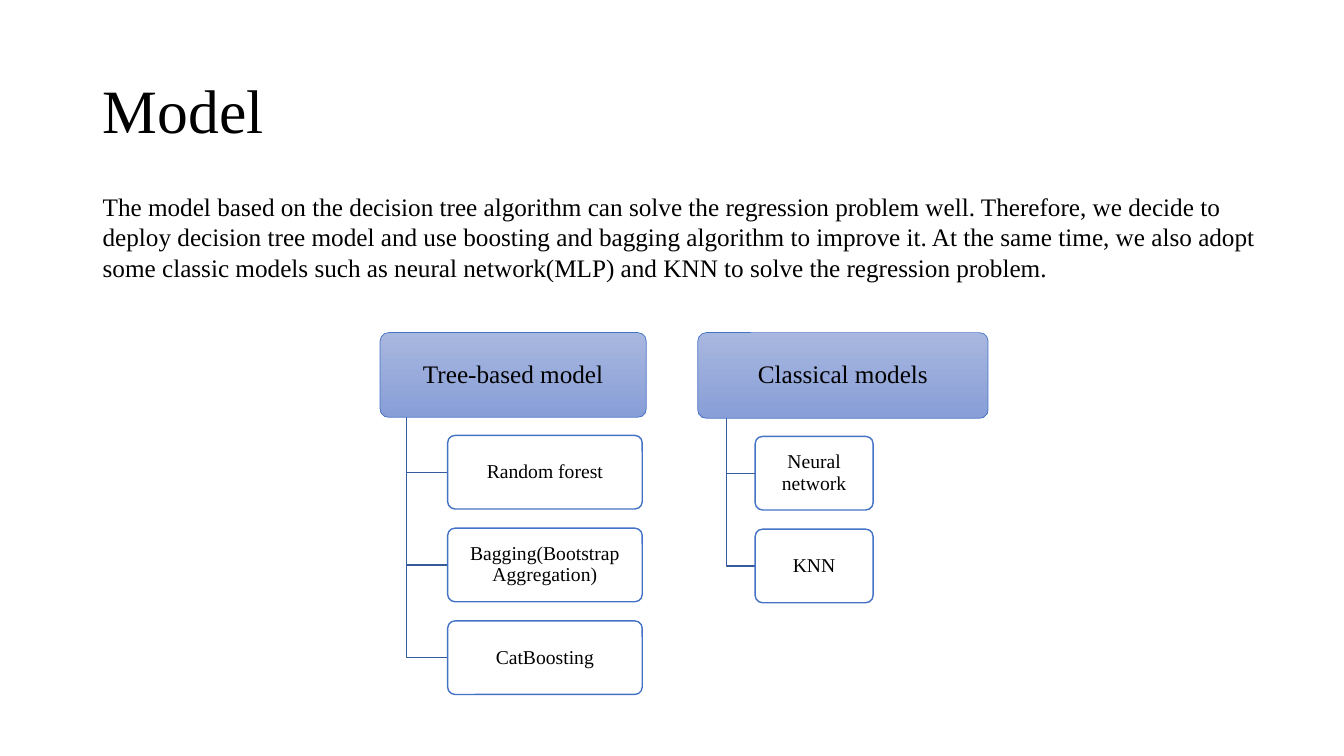
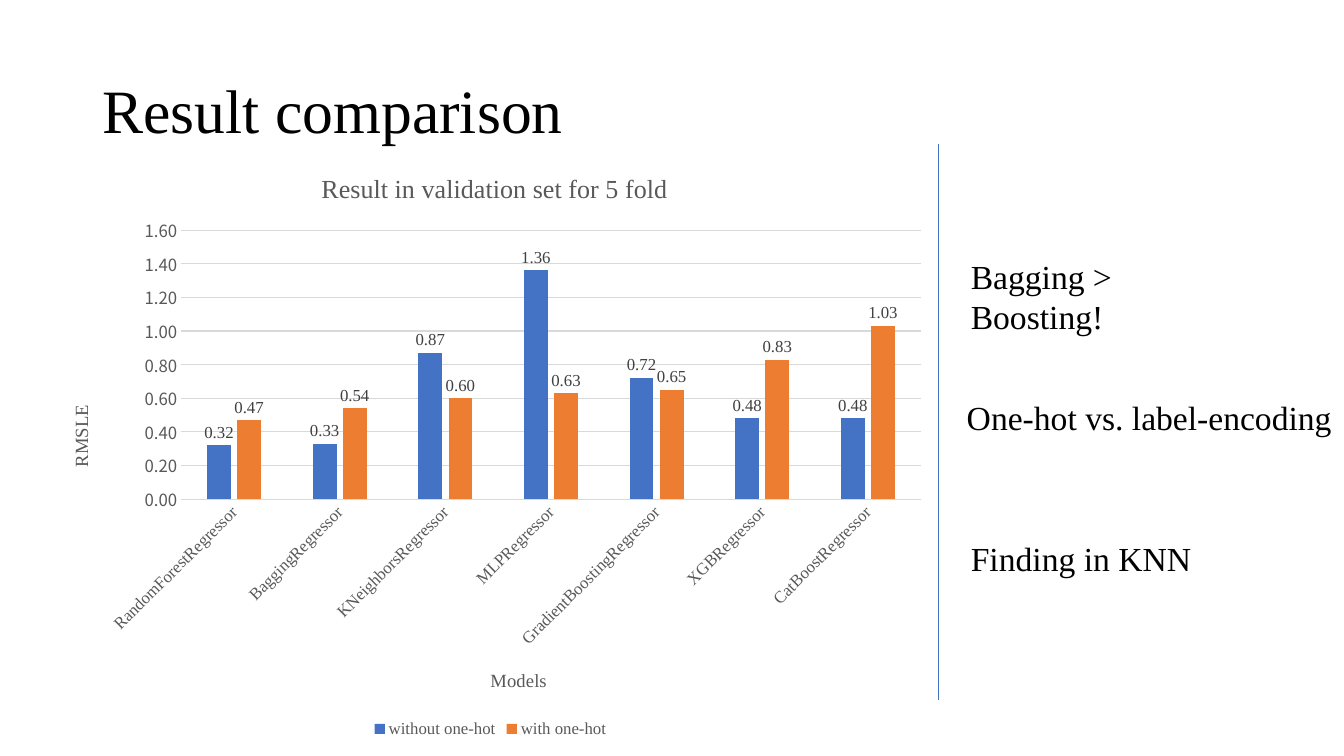
import pptx
import pptx.chart.data
import pptx.dml.color
import pptx.enum.chart
import pptx.enum.shapes
import pptx.enum.text
import pptx.oxml
import pptx.oxml.ns
import pptx.util
from lxml import etree

Inches = pptx.util.Inches
Pt = pptx.util.Pt
qn = pptx.oxml.ns.qn
colour = pptx.dml.color.RGBColor.from_string
MIDDLE = pptx.enum.text.MSO_ANCHOR.MIDDLE
TOP = pptx.enum.text.MSO_ANCHOR.TOP
CENTER = pptx.enum.text.PP_ALIGN.CENTER
LEFT = pptx.enum.text.PP_ALIGN.LEFT
ROUNDED = pptx.enum.shapes.MSO_SHAPE.ROUNDED_RECTANGLE

SERIF = "Times New Roman"
SANS = "Noto Sans CJK SC"
BLACK, WHITE, GRAY, GRID = "000000", "FFFFFF", "595959", "D9D9D9"
BLUE, DARK_BLUE, ORANGE = "4472C4", "365B9D", "ED7D31"


def write(box, text, size, align=LEFT, anchor=TOP, spacing=1.0):
    frame = box.text_frame
    frame.word_wrap = True
    frame.vertical_anchor = anchor
    para = frame.paragraphs[0]
    para.alignment = align
    para.line_spacing = spacing
    span = para.add_run()
    span.text = text
    span.font.size = Pt(size)
    span.font.name = SERIF
    span.font.color.rgb = colour(BLACK)


def place(element, position, **fractions):
    """Give a chart part a fixed place, in fractions of the chart."""
    for old in element.findall(qn("c:layout")):
        element.remove(old)
    layout = etree.Element(qn("c:layout"))
    manual = etree.SubElement(layout, qn("c:manualLayout"))
    if "w" in fractions:
        etree.SubElement(manual, qn("c:layoutTarget")).set("val", "inner")
    for side in ("x", "y"):
        etree.SubElement(manual, qn(f"c:{side}Mode")).set("val", "edge")
    for key, value in fractions.items():
        etree.SubElement(manual, qn(f"c:{key}")).set("val", str(value))
    element.insert(position, layout)


deck = pptx.Presentation()
deck.slide_width = Inches(13.33)
deck.slide_height = Inches(7.5)
blank = deck.slide_layouts[6]

# Titles
pages = []
for title in ("Model", "Result comparison"):
    page = deck.slides.add_slide(blank)
    box = page.shapes.add_textbox(Inches(0.92), Inches(0.4), Inches(11.5), Inches(1.45))
    write(box, title, 44, anchor=MIDDLE, spacing=0.9)
    pages.append(page)
model_page, result_page = pages

# Body text
texts = [
    (model_page, 0.92, 1.85, 11.87, 1.01, 18,
     "The model based on the decision tree algorithm can solve the regression problem well. "
     "Therefore, we decide to deploy decision tree model and use boosting and bagging "
     "algorithm to improve it. At the same time, we also adopt some classic models such as "
     "neural network(MLP) and KNN to solve the regression problem."),
    (result_page, 9.53, 2.49, 2.89, 0.5, 24, "Bagging > Boosting!"),
    (result_page, 9.49, 3.89, 3.84, 0.5, 24, "One-hot vs. label-encoding"),
    (result_page, 9.53, 5.29, 2.75, 0.5, 24, "Finding in KNN"),
]
for page, left, top, width, height, size, text in texts:
    box = page.shapes.add_textbox(Inches(left), Inches(top), Inches(width), Inches(height))
    write(box, text, size)

# Model families: a head with its members hanging below
HEAD_TOP, MEMBER_HEIGHT, MEMBER_STEP = 3.3, 0.73, 0.92
families = [
    ("Tree-based model", 3.77, 2.64, 0.84, 4.44, 1.93,
     ["Random forest", "Bagging(Bootstrap Aggregation)", "CatBoosting"]),
    ("Classical models", 6.92, 2.88, 0.85, 7.49, 1.17, ["Neural network", "KNN"]),
]
for head, left, width, height, member_left, member_width, members in families:
    bottom = HEAD_TOP + height
    trunk = left + width / 10
    boxes = [(head, left, HEAD_TOP, width, height, 18, 0.5)]
    for index, member in enumerate(members):
        top = bottom + 0.18 + index * MEMBER_STEP
        boxes.append((member, member_left, top, member_width, MEMBER_HEIGHT, 14, 1))
        middle = top + MEMBER_HEIGHT / 2
        builder = model_page.shapes.build_freeform(Inches(trunk), Inches(bottom))
        builder.add_line_segments([(Inches(trunk), Inches(middle)),
                                   (Inches(member_left), Inches(middle))], close=False)
        branch = builder.convert_to_shape()
        branch.shadow.inherit = False
        branch.fill.background()
        branch.line.color.rgb = colour(DARK_BLUE)
        branch.line.width = Pt(1)
    for text, x, y, w, h, size, line_width in boxes:
        shape = model_page.shapes.add_shape(ROUNDED, Inches(x), Inches(y), Inches(w), Inches(h))
        shape.adjustments[0] = 0.1
        shape.shadow.inherit = False
        shape.line.color.rgb = colour(BLUE)
        shape.line.width = Pt(line_width)
        if text == head:
            shape.fill.gradient()
            shape.fill.gradient_angle = 270
            for stop, shade in zip(shape.fill.gradient_stops, ("A8B7DF", "889ED7")):
                stop.color.rgb = colour(shade)
        else:
            shape.fill.solid()
            shape.fill.fore_color.rgb = colour(WHITE)
        frame = shape.text_frame
        frame.margin_left = frame.margin_right = Inches(0.05)
        frame.margin_top = frame.margin_bottom = Inches(0.04)
        write(shape, text, size, CENTER, MIDDLE, 0.9)

# Chart of validation results
data = pptx.chart.data.CategoryChartData(number_format="0.00")
data.categories = ["RandomForestRegressor", "BaggingRegressor", "KNeighborsRegressor",
                   "MLPRegressor", "GradientBoostingRegressor", "XGBRegressor",
                   "CatBoostRegressor"]
data.add_series("without one-hot", [0.32, 0.33, 0.87, 1.36, 0.72, 0.48, 0.48])
data.add_series("with one-hot", [0.47, 0.54, 0.6, 0.63, 0.65, 0.83, 1.03])
chart = result_page.shapes.add_chart(
    pptx.enum.chart.XL_CHART_TYPE.COLUMN_CLUSTERED,
    Inches(0.42), Inches(1.43), Inches(8.89), Inches(5.93), data).chart
chart.font.size = Pt(10)
chart.font.name = SANS
plot = chart.plots[0]
plot.gap_width = 219
plot.overlap = -27
plot.vary_by_categories = False
place(chart._chartSpace.chart.plotArea, 0, x=0.155, y=0.144, w=0.825, h=0.45)

# Axes and legend
models, errors = chart.category_axis, chart.value_axis
for axis in (models, errors):
    axis.major_tick_mark = pptx.enum.chart.XL_TICK_MARK.NONE
models.format.line.color.rgb = colour(GRID)
models.format.line.width = Pt(0.75)
errors.format.line.fill.background()
errors.minimum_scale, errors.maximum_scale, errors.major_unit = 0, 1.6, 0.2
errors.tick_labels.number_format = "0.00"
errors.tick_labels.number_format_is_linked = False
errors.major_gridlines.format.line.color.rgb = colour(GRID)
errors.major_gridlines.format.line.width = Pt(0.75)
chart.has_legend = True
chart.legend.position = pptx.enum.chart.XL_LEGEND_POSITION.BOTTOM
chart.legend.include_in_layout = False

# Series and their labels
fonts = [(models.tick_labels.font, 12, GRAY, SERIF),
         (errors.tick_labels.font, 12, GRAY, SANS),
         (chart.legend.font, 12, GRAY, SERIF)]
for series, shade in zip(plot.series, (BLUE, ORANGE)):
    series.format.fill.solid()
    series.format.fill.fore_color.rgb = colour(shade)
    labels = series.data_labels
    labels.show_value = True
    labels.number_format = "0.00"
    labels.number_format_is_linked = False
    labels.position = pptx.enum.chart.XL_LABEL_POSITION.OUTSIDE_END
    fonts.append((labels.font, 12, "404040", SERIF))

# Chart and axis titles
for title, text, size, x, y in [
        (chart.chart_title, "Result in validation set for 5 fold", 18.6, 0.306, 0.04),
        (models.axis_title, "Models", 13.3, 0.496, 0.872),
        (errors.axis_title, "RMSLE", 13.3, 0.026, 0.43)]:
    span = title.text_frame.paragraphs[0].add_run()
    span.text = text
    fonts.append((span.font, size, GRAY, SERIF))
    place(title._element, 1, x=x, y=y)
for font, size, shade, name in fonts:
    font.size = Pt(size)
    font.bold = False
    font.name = name
    font.color.rgb = colour(shade)

# Slanted model names, upright error title
names = models._element.find(qn("c:txPr")).find(qn("a:bodyPr"))
names.set("rot", "-2700000")
errors.axis_title.text_frame._txBody.find(qn("a:bodyPr")).set("rot", "-5400000")

# Divider beside the chart
divider = result_page.shapes.add_connector(
    pptx.enum.shapes.MSO_CONNECTOR.STRAIGHT,
    Inches(9.31), Inches(1.43), Inches(9.31), Inches(6.94))
divider.line.color.rgb = colour(BLUE)
divider.line.width = Pt(0.5)
etree.SubElement(divider._element.spPr, qn("a:effectLst"))

deck.save("out.pptx")
